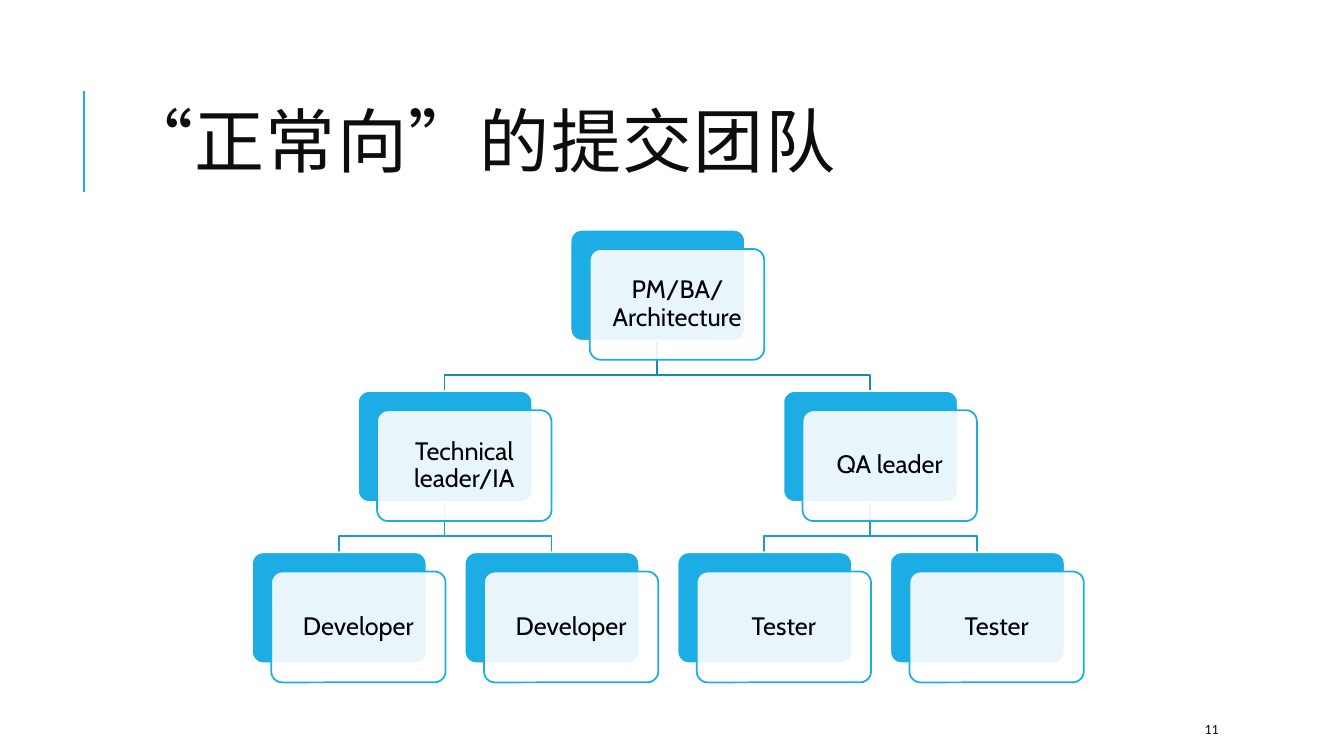
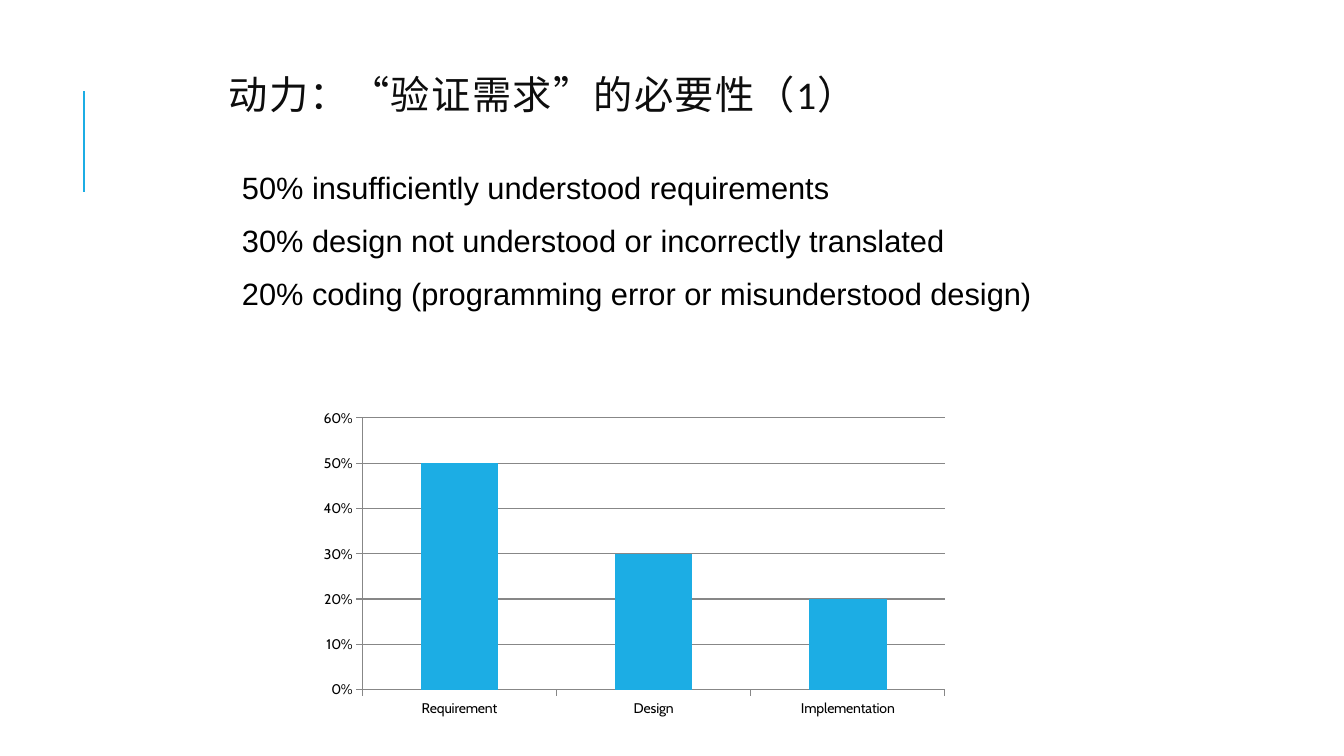
import pptx
import pptx.util
import pptx.chart.data
import pptx.dml.color
import pptx.enum.chart
import pptx.enum.lang
import pptx.enum.shapes
import pptx.enum.text
import pptx.oxml
import pptx.oxml.ns
from dataclasses import dataclass

PX = 9144  # EMU per px, 100 px to the inch
SLIDE = (1333, 750)


@dataclass(frozen=True)
class Theme:
    accent: str = "1CADE4"
    branch: tuple = ("168BB7", "199DCF")  # by depth
    white: str = "FFFFFF"
    title: str = "0D0D0D"
    text: str = "000000"
    grid: str = "878787"
    title_font: str = "Calibri"
    body_font: str = "Arial"
    label_font: str = "Cabin"
    title_size: int = 50
    subtitle_size: int = 28
    body_size: int = 22
    node_size: int = 18
    small_size: int = 10


T = Theme()
ALIGN = pptx.enum.text.PP_ALIGN
ANCHOR = pptx.enum.text.MSO_ANCHOR

# Content
TEAM = ("PM/BA/Architecture", [
    ("Technical leader/IA", [("Developer", []), ("Developer", [])]),
    ("QA leader", [("Tester", []), ("Tester", [])]),
])
TEAM_TITLE = "“正常向”的提交团队"
TEAM_PAGE = "11"
CAUSES_TITLE = "动力：“验证需求”的必要性（1）"
CAUSES = [
    "50% insufficiently understood requirements",
    "30% design not understood or incorrectly translated",
    "20% coding (programming error or misunderstood design)",
]
SHARES = {"Requirement": 0.5, "Design": 0.3, "Implementation": 0.2}

# Organisation chart geometry
LEAF_X, LEAF_STEP = 250, 211
ROW_Y, ROW_STEP = 228, 160
NODE_W, NODE_H, OFFSET = 173, 110, 19
BEND = 34  # from the bottom of a node to the crossbar


def rgb(value):
    return pptx.dml.color.RGBColor.from_string(value)


def px(*values):
    return [pptx.util.Emu(v * PX) for v in values]


def assign(obj, **values):
    for name, value in values.items():
        setattr(obj, name, value)


def set_font(font, name, size, color):
    assign(font, name=name, size=pptx.util.Pt(size))
    font.color.rgb = rgb(color)


def set_line(line, color, width):
    line.color.rgb = rgb(color)
    line.width = pptx.util.Pt(width)


def set_frame(tf, margin=10, anchor=ANCHOR.MIDDLE):
    assign(tf, word_wrap=True, auto_size=pptx.enum.text.MSO_AUTO_SIZE.NONE,
           vertical_anchor=anchor)
    m, = px(margin)
    assign(tf, margin_left=m, margin_right=m)
    v, = px(min(margin, 5))
    assign(tf, margin_top=v, margin_bottom=v)


def add_text(p, text, font, size, color, **formats):
    r = p.add_run()
    r.text = text
    set_font(r.font, font, size, color)
    assign(p, **formats)
    return r


def place(sp, box):
    for name, value in zip(("left", "top", "width", "height"), px(*box)):
        setattr(sp, name, value)


def add_slide(prs, layout, title, box, size):
    """Slide with the accent rule and the shared title style."""
    s = prs.slides.add_slide(prs.slide_layouts[layout])
    rule = s.shapes.add_connector(
        pptx.enum.shapes.MSO_CONNECTOR.STRAIGHT, *px(83, 190, 83, 90))
    set_line(rule.line, T.accent, 1.5)
    rule._element.spPr.append(pptx.oxml.parse_xml(
        "<a:effectLst %s/>" % pptx.oxml.ns.nsdecls("a")))
    sp = s.shapes.title
    place(sp, box)
    set_frame(sp.text_frame)
    r = add_text(sp.text_frame.paragraphs[0], title, T.title_font, size, T.title,
                 alignment=ALIGN.LEFT, line_spacing=0.8)
    r.font.language_id = pptx.enum.lang.MSO_LANGUAGE_ID.SIMPLIFIED_CHINESE
    r._r.get_or_add_rPr().set("spc", "100")
    return s


def layout_tree(node, depth, leaves, nodes):
    """Place leaves left to right and each parent midway over its children."""
    label, children = node
    item = {"label": label, "depth": depth, "y": ROW_Y + depth * ROW_STEP}
    nodes.append(item)
    item["children"] = [layout_tree(c, depth + 1, leaves, nodes) for c in children]
    if children:
        item["x"] = (item["children"][0]["x"] + item["children"][-1]["x"]) // 2
    else:
        item["x"] = LEAF_X + len(leaves) * LEAF_STEP
        leaves.append(item)
    return item


def add_branch(s, parent, child):
    x0, x1 = (n["x"] + NODE_W // 2 for n in (parent, child))
    y0 = parent["y"] + NODE_H
    fb = s.shapes.build_freeform(x0, y0, scale=PX)
    fb.add_line_segments(
        [(x0, y0 + BEND), (x1, y0 + BEND), (x1, child["y"])], close=False)
    sp = fb.convert_to_shape()
    sp.shadow.inherit = False
    sp.fill.background()
    set_line(sp.line, T.branch[parent["depth"]], 1.25)


def add_card(s, x, y, fill, line):
    sp = s.shapes.add_shape(pptx.enum.shapes.MSO_SHAPE.ROUNDED_RECTANGLE,
                            *px(x, y, NODE_W, NODE_H))
    sp.adjustments[0] = 0.1
    sp.shadow.inherit = False
    sp.fill.solid()
    sp.fill.fore_color.rgb = rgb(fill)
    set_line(sp.line, line, 1.25)
    return sp


def add_node(s, node):
    x, y = node["x"], node["y"]
    add_card(s, x, y, T.accent, T.white)
    front = add_card(s, x + OFFSET, y + OFFSET, T.white, T.accent)
    color = front._element.spPr.find(".//" + pptx.oxml.ns.qn("a:srgbClr"))
    color.append(pptx.oxml.parse_xml(
        '<a:alpha %s val="90000"/>' % pptx.oxml.ns.nsdecls("a")))
    set_frame(front.text_frame)
    add_text(front.text_frame.paragraphs[0], node["label"], T.label_font,
             T.node_size, T.text, alignment=ALIGN.CENTER, line_spacing=0.9)


def build_team(prs):
    s = add_slide(prs, 5, TEAM_TITLE, (112, 64, 1063, 164), T.title_size)
    nodes = []
    layout_tree(TEAM, 0, [], nodes)
    # Branches lie behind the cards
    for node in nodes:
        for child in node["children"]:
            add_branch(s, node, child)
    for node in nodes:
        add_node(s, node)
    # Page number
    tf = s.shapes.add_textbox(*px(1185, 708, 106, 30)).text_frame
    set_frame(tf)
    add_text(tf.paragraphs[0], TEAM_PAGE, T.title_font, T.small_size, T.title)


def add_causes(s):
    sp = s.placeholders[1]
    place(sp, (225, 167, 867, 242))
    tf = sp.text_frame
    set_frame(tf, 5, ANCHOR.TOP)
    for i, text in enumerate(CAUSES):
        p = tf.add_paragraph() if i else tf.paragraphs[0]
        add_text(p, text, T.body_font, T.body_size, T.text, line_spacing=0.9,
                 space_before=pptx.util.Pt(12), space_after=pptx.util.Pt(2))
        pPr = p._p.get_or_add_pPr()
        pPr.set("marL", str(10 * PX))
        pPr.set("indent", "0")
        pPr.append(pptx.oxml.parse_xml(
            "<a:buNone %s/>" % pptx.oxml.ns.nsdecls("a")))


def add_shares(s):
    data = pptx.chart.data.CategoryChartData(number_format="0%")
    data.categories = list(SHARES)
    data.add_series("Series 1", list(SHARES.values()))
    chart = s.shapes.add_chart(pptx.enum.chart.XL_CHART_TYPE.COLUMN_CLUSTERED,
                               *px(308, 400, 642, 317), data).chart
    assign(chart, has_legend=False, has_title=False)
    set_font(chart.font, T.label_font, T.small_size, T.text)
    plot = chart.plots[0]
    assign(plot, gap_width=150, vary_by_categories=False)
    fill = plot.series[0].format.fill
    fill.solid()
    fill.fore_color.rgb = rgb(T.accent)
    values = chart.value_axis
    assign(values, minimum_scale=0, maximum_scale=0.6, major_unit=0.1,
           has_major_gridlines=True)
    assign(values.tick_labels, number_format="0%", number_format_is_linked=False)
    for axis in (values, chart.category_axis):
        axis.major_tick_mark = pptx.enum.chart.XL_TICK_MARK.OUTSIDE
        set_line(axis.format.line, T.grid, 0.75)
    set_line(values.major_gridlines.format.line, T.grid, 0.75)


def build_causes(prs):
    s = add_slide(prs, 1, CAUSES_TITLE, (217, 67, 846, 61), T.subtitle_size)
    add_causes(s)
    add_shares(s)


def main():
    prs = pptx.Presentation()
    prs.slide_width, prs.slide_height = px(*SLIDE)
    build_team(prs)
    build_causes(prs)
    prs.save("out.pptx")


if __name__ == "__main__":
    main()
